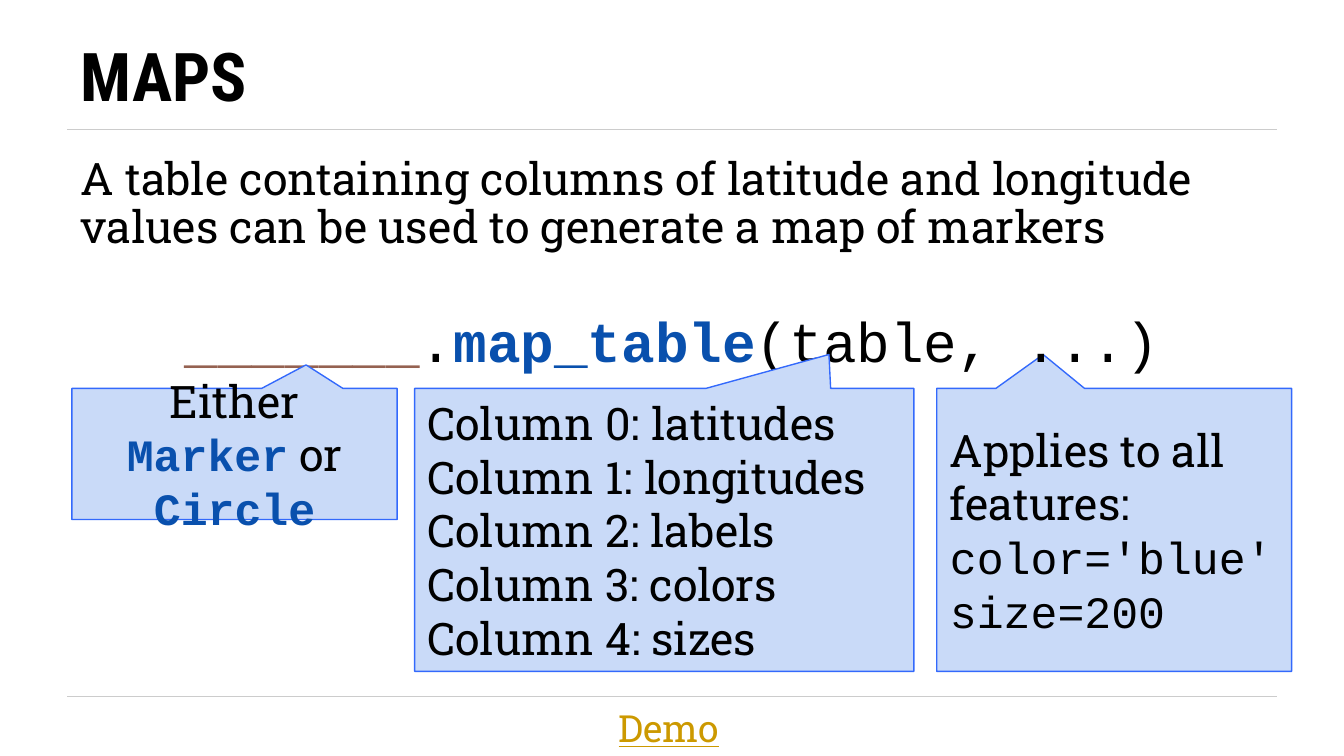
import dataclasses
import typing

import lxml.etree
import pptx
import pptx.dml.color
import pptx.enum.shapes
import pptx.enum.text
import pptx.oxml.ns
import pptx.util

SCALE = 4572  # EMU in one px, 200 px to the inch
SLAB, CODE, HEAD = "Roboto Slab", "Courier New", "Roboto Condensed"
BLACK, BLUE, BROWN, GOLD = "000000", "0950AD", "956251", "CC9900"
PALE, EDGE, GREY = "C9DAF8", "3369FC", "CCCCCC"
ALIGN = pptx.enum.text.PP_ALIGN
ANCHOR = pptx.enum.text.MSO_ANCHOR


@dataclasses.dataclass
class Run:
    text: str
    face: str = SLAB
    tint: str = BLACK
    bold: bool = False
    line: bool = False


@dataclasses.dataclass
class Note:
    box: tuple[int, int, int, int]
    tip: tuple[float, float]
    rows: list[list[Run]]
    align: typing.Any = ALIGN.LEFT


def px(size: int) -> int:
    return size * SCALE


def color(code: str) -> pptx.dml.color.RGBColor:
    return pptx.dml.color.RGBColor.from_string(code)


def place(shape: typing.Any, box: tuple[int, int, int, int]) -> None:
    shape.left, shape.top, shape.width, shape.height = map(px, box)


def write(shape: typing.Any, rows: list[list[Run]], size: int = 24,
          align: typing.Any = ALIGN.LEFT, anchor: typing.Any = ANCHOR.TOP,
          lead: float = 1.0, after: int = 0, wrap: bool = True,
          inset: int = 20) -> None:
    frame = shape.text_frame
    frame.auto_size = pptx.enum.text.MSO_AUTO_SIZE.NONE
    frame.word_wrap = wrap
    frame.vertical_anchor = anchor
    frame.margin_left = frame.margin_right = px(20)
    frame.margin_top = frame.margin_bottom = px(inset)
    for i, row in enumerate(rows):
        para = frame.add_paragraph() if i else frame.paragraphs[0]
        props = para._p.get_or_add_pPr()
        props.set("marL", "0")
        props.set("indent", "0")
        lxml.etree.SubElement(props, pptx.oxml.ns.qn("a:buNone"))
        para.alignment, para.line_spacing = align, lead
        para.space_before, para.space_after = pptx.util.Pt(0), pptx.util.Pt(after)
        for item in row:
            run = para.add_run()
            run.text = item.text
            font = run.font
            font.name, font.size = item.face, pptx.util.Pt(size)
            font.bold, font.underline = item.bold, item.line
            font.color.rgb = color(item.tint)


def rule(slide: typing.Any, top: int) -> None:
    line = slide.shapes.add_connector(
        pptx.enum.shapes.MSO_CONNECTOR.STRAIGHT, px(100), px(top), px(1900), px(top))
    line.line.color.rgb = color(GREY)
    line.line.width = pptx.util.Pt(0.75)
    lxml.etree.SubElement(line._element.spPr, pptx.oxml.ns.qn("a:effectLst"))


def callout(slide: typing.Any, note: Note) -> None:
    shape = slide.shapes.add_shape(
        pptx.enum.shapes.MSO_SHAPE.ROUNDED_RECTANGULAR_CALLOUT, *map(px, note.box))
    for i, value in enumerate((*note.tip, 0)):  # the last one squares the corners
        shape.adjustments[i] = value
    shape.shadow.inherit = False
    shape.fill.solid()
    shape.fill.fore_color.rgb = color(PALE)
    shape.line.color.rgb = color(EDGE)
    shape.line.width = pptx.util.Pt(0.75)
    write(shape, note.rows, align=note.align, anchor=ANCHOR.MIDDLE)


def label(slide: typing.Any, box: tuple[int, int, int, int], row: list[Run],
          **style: typing.Any) -> None:
    write(slide.shapes.add_textbox(*map(px, box)), [row], **style)


def key(text: str) -> Run:
    return Run(text, CODE, BLUE, True)


KINDS = Note((107, 578, 484, 195), (0.22, -0.68),
             [[Run("Either "), key("Marker"), Run(" or "), key("Circle")]],
             ALIGN.CENTER)
NAMES = ("latitudes", "longitudes", "labels", "colors", "sizes")
COLUMNS = Note((617, 578, 743, 421), (0.33, -0.62),
               [[Run(f"Column {i}: {name}")] for i, name in enumerate(NAMES)])
EXTRAS = Note((1394, 578, 528, 421), (-0.2, -0.62),
              [[Run("Applies to all features:")],
               [Run("color='blue'", CODE)], [Run("size=200", CODE)]])


def main() -> None:
    deck = pptx.Presentation()
    deck.slide_width, deck.slide_height = px(2000), px(1125)
    slide = deck.slides.add_slide(deck.slide_layouts[1])

    # Title and body
    title, body = slide.placeholders
    place(title, (100, 45, 1466, 148))
    write(title, [[Run("MAPS", HEAD, bold=True)]], size=36,
          anchor=ANCHOR.BOTTOM, lead=0.9)
    place(body, (100, 213, 1800, 222))
    write(body, [[Run("A table containing columns of latitude and longitude "
                      "values can be used to generate a map of markers")]],
          lead=0.9, after=4)

    # Rules under the title and above the footer
    for top in (193, 1037):
        rule(slide, top)

    # Call pattern: over the right callout, under the other two
    callout(slide, EXTRAS)
    label(slide, (117, 394, 1766, 168),
          [Run("_______", CODE, BROWN, True), Run(".", CODE),
           key("map_table"), Run("(table, ...)", CODE)],
          size=30, align=ALIGN.CENTER, lead=1.42)
    for note in (KINDS, COLUMNS):
        callout(slide, note)

    # Footer
    label(slide, (901, 1040, 194, 88), [Run("Demo", tint=GOLD, line=True)],
          size=20, wrap=False, inset=10)

    deck.save("out.pptx")


if __name__ == "__main__":
    main()
